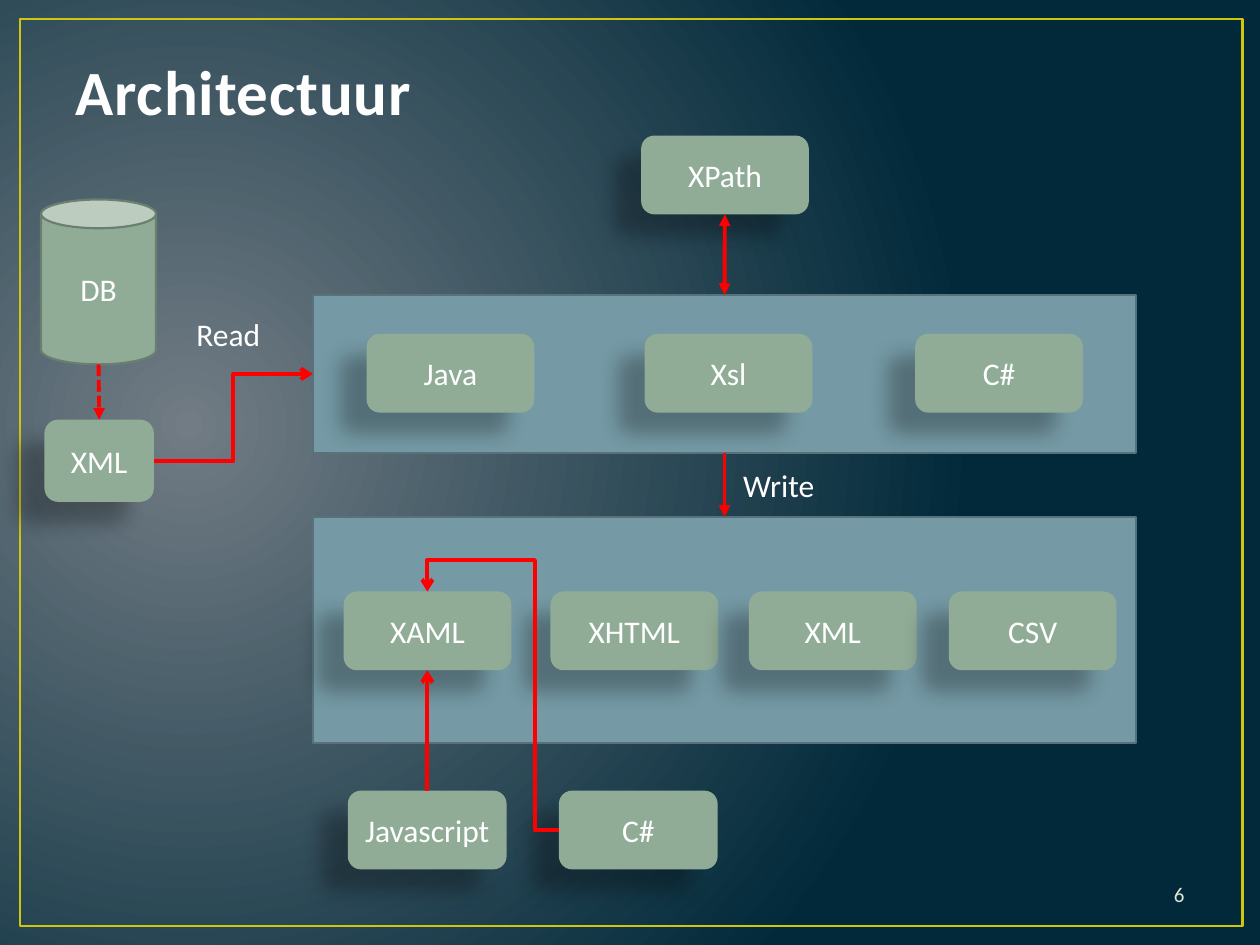
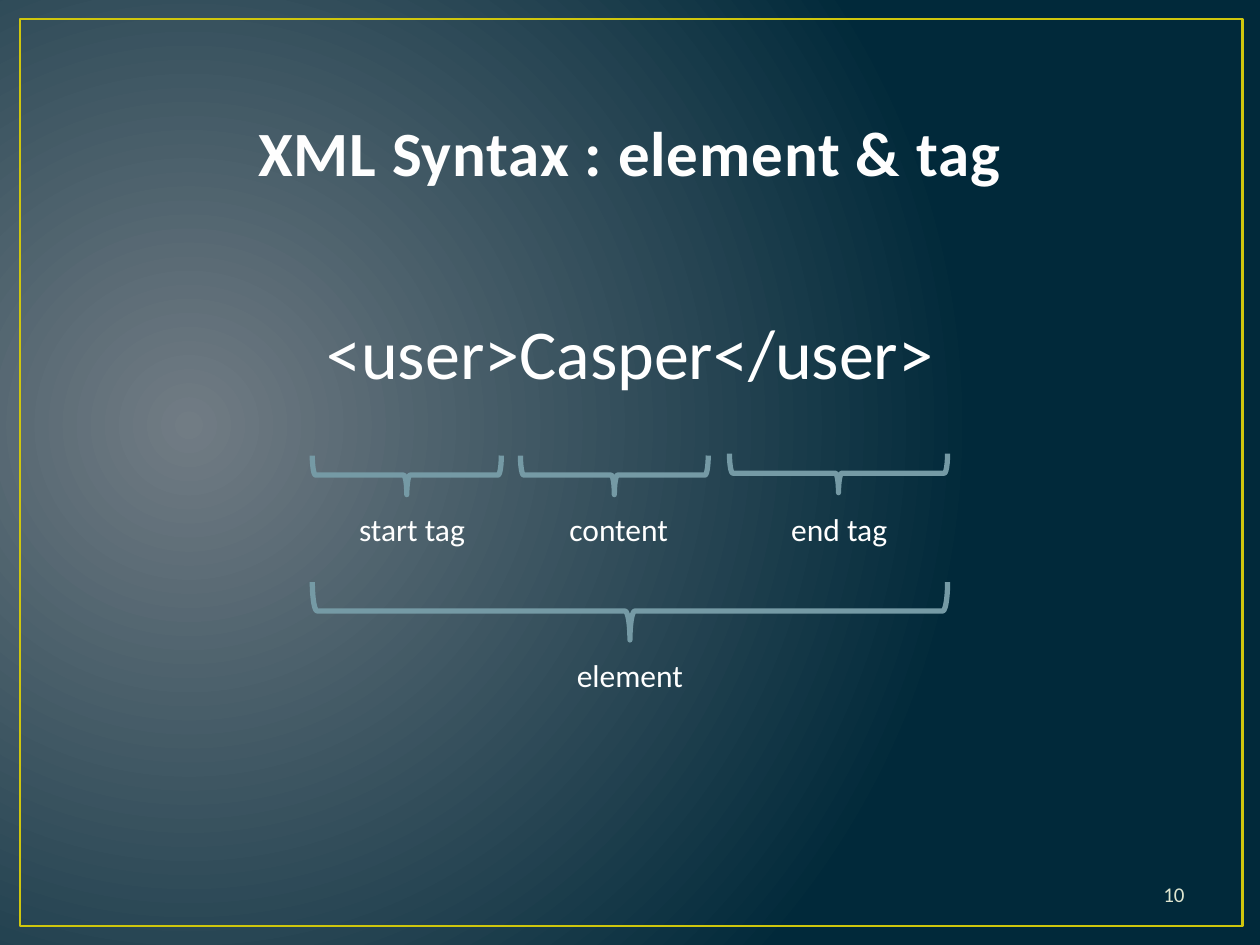
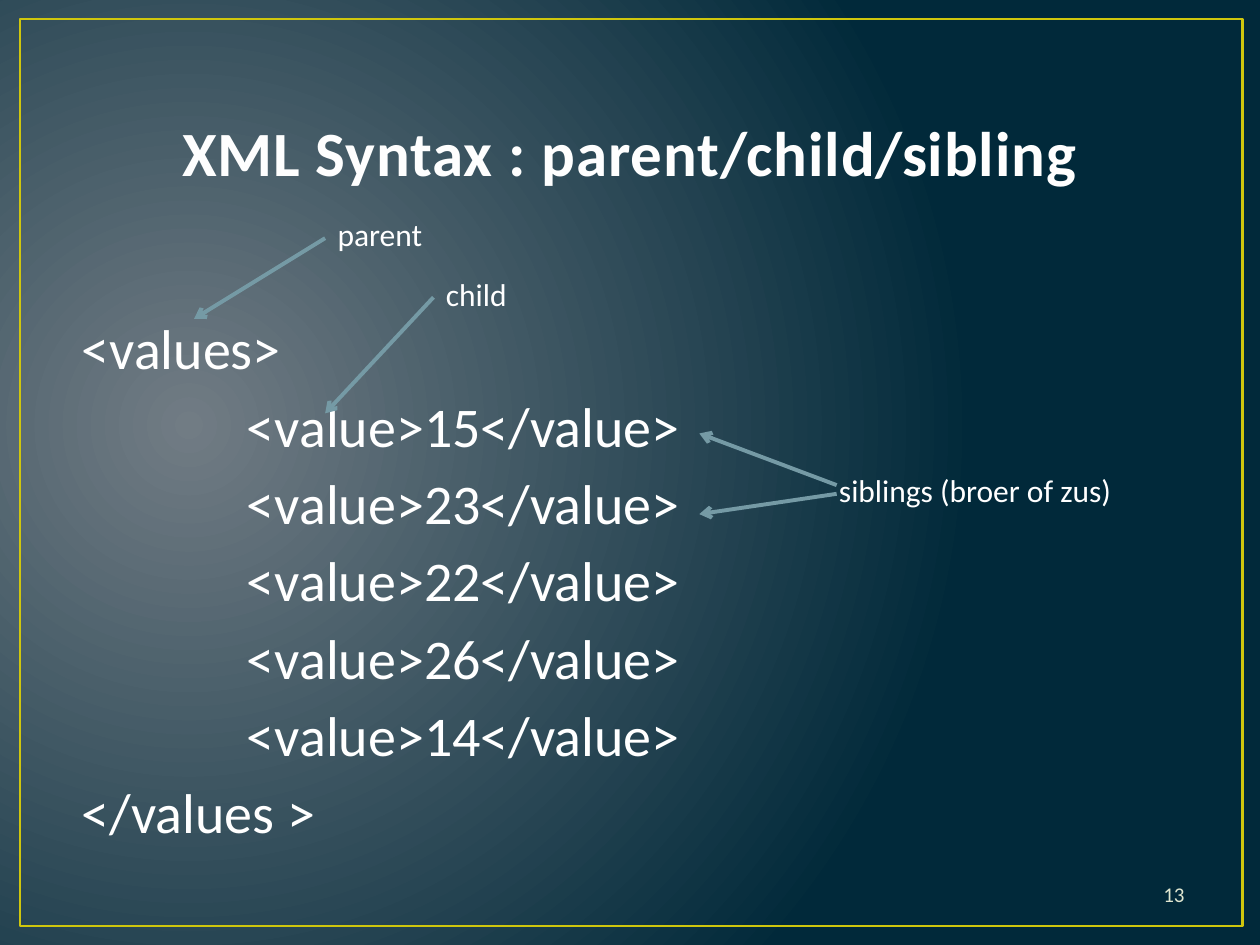
import dataclasses

import pptx
import pptx.dml.color
import pptx.enum.dml
import pptx.enum.shapes
import pptx.enum.text
import pptx.oxml
import pptx.oxml.ns
import pptx.util

Pt = pptx.util.Pt
RGB = pptx.dml.color.RGBColor.from_string
SHAPE = pptx.enum.shapes.MSO_SHAPE
CONNECTOR = pptx.enum.shapes.MSO_CONNECTOR
ALIGN = pptx.enum.text.PP_ALIGN
ANCHOR = pptx.enum.text.MSO_ANCHOR
qn = pptx.oxml.ns.qn
NAMESPACE = pptx.oxml.ns.nsdecls("a")


@dataclasses.dataclass(frozen=True)
class Theme:
    """Colours and type sizes of the whole presentation."""
    font: str = "Calibri"
    glow: str = "717C84"
    night: str = "01293A"
    frame: str = "CFC60D"
    title: str = "FEFEFE"
    title_outline: str = "384F55"
    text: str = "FFFFFF"
    number: str = "DFE6D0"
    box: str = "90AC97"
    can_line: str = "6B7F70"
    panel: str = "759AA5"
    panel_line: str = "57727A"
    flow: str = "FF0000"
    title_size: float = 36
    sample_size: float = 40
    code_size: float = 32
    label_size: float = 18
    number_size: float = 12


theme = Theme()


def write(shape, lines, size=theme.label_size, color=theme.text, align=ALIGN.LEFT, anchor=ANCHOR.TOP):
    """Write one single-run paragraph per line and return the paragraphs."""
    frame = shape.text_frame
    frame.word_wrap = True
    frame.auto_size = pptx.enum.text.MSO_AUTO_SIZE.NONE
    frame.vertical_anchor = anchor
    for index, line in enumerate(lines):
        paragraph = frame.add_paragraph() if index else frame.paragraphs[0]
        paragraph.alignment = align
        run = paragraph.add_run()
        run.text = line
        run.font.name = theme.font
        run.font.size = Pt(size)
        run.font.color.rgb = RGB(color)
    return frame.paragraphs


def connect(slide, start, end, color, tail, head=None, kind=CONNECTOR.STRAIGHT, dash=None):
    """Draw a flat connector with arrowheads and return it."""
    connector = slide.shapes.add_connector(kind, *map(Pt, start + end))
    connector.line.color.rgb = RGB(color)
    connector.line.width = Pt(2.25)
    if dash:
        connector.line.dash_style = dash
    line = connector.line._get_or_add_ln()
    for tag, arrow in (("headEnd", head), ("tailEnd", tail)):
        if arrow:
            line.append(pptx.oxml.parse_xml(f'<a:{tag} {NAMESPACE} type="{arrow}"/>'))
    connector.element.spPr.append(pptx.oxml.parse_xml(f"<a:effectLst {NAMESPACE}/>"))
    return connector


presentation = pptx.Presentation()
presentation.slide_width = Pt(720)
presentation.slide_height = Pt(540)

# Shared background
master = presentation.slide_master
background = master.background.fill
background.gradient()
for stop, color in zip(background.gradient_stops, (theme.glow, theme.night)):
    stop.color.rgb = RGB(color)
gradient = master.element.find(".//" + qn("a:gradFill"))
gradient.replace(gradient.find(qn("a:lin")), pptx.oxml.parse_xml(
    f'<a:path {NAMESPACE} path="circle">'
    '<a:fillToRect l="15000" t="50000" r="85000" b="60000"/></a:path>'))

# Slides with titles and page numbers
pages = [
    ("Architectuur", "6", 20.88, 56.16, ALIGN.LEFT),
    ("XML Syntax : element & tag", "10", 21.6, 90, ALIGN.CENTER),
    ("XML Syntax : parent/child/sibling", "13", 21.6, 90, ALIGN.CENTER),
]
slides = []
for heading, number, top, height, align in pages:
    slide = presentation.slides.add_slide(presentation.slide_layouts[5])
    title = slide.shapes.title
    title.left, title.top, title.width, title.height = map(Pt, (36, top, 648, height))
    run = write(title, [heading], theme.title_size, theme.title, align, ANCHOR.BOTTOM)[0].runs[0]
    run.font.bold = True
    properties = run.font._element
    properties.set("spc", "50")
    properties.insert(0, pptx.oxml.parse_xml(
        f'<a:ln {NAMESPACE} w="{Pt(1.05)}"><a:solidFill>'
        f'<a:srgbClr val="{theme.title_outline}"/></a:solidFill></a:ln>'))
    page_number = slide.shapes.add_textbox(*map(Pt, (516, 496.8, 168, 28.8)))
    write(page_number, [number], theme.number_size, theme.number, ALIGN.RIGHT, ANCHOR.MIDDLE)
    slides.append(slide)
architecture, element_slide, family = slides

# Shared frame, moved to the master behind its placeholders
frame = architecture.shapes.add_shape(SHAPE.RECTANGLE, *map(Pt, (11.5, 10.8, 698.4, 518.4)))
frame.shadow.inherit = False
frame.fill.background()
frame.line.color.rgb = RGB(theme.frame)
frame.line.width = Pt(1.5)
frame.element.nvSpPr.cNvPr.set("id", "99")
master.shapes.element.insert(2, frame.element)

# Architecture: panels and database
solids = [
    (SHAPE.RECTANGLE, (178.8, 295.4, 470.6, 129.2), theme.panel, theme.panel_line, None),
    (SHAPE.RECTANGLE, (178.8, 168.6, 470.6, 90.2), theme.panel, theme.panel_line, None),
    (SHAPE.CAN, (23.5, 114, 65.7, 94.2), theme.box, theme.can_line, "DB"),
]
for kind, place, fill, outline, label in solids:
    solid = architecture.shapes.add_shape(kind, *map(Pt, place))
    solid.shadow.inherit = False
    solid.fill.solid()
    solid.fill.fore_color.rgb = RGB(fill)
    solid.line.color.rgb = RGB(outline)
    solid.line.width = Pt(1.25)
    if label:
        write(solid, [label], align=ALIGN.CENTER, anchor=ANCHOR.MIDDLE)

# Architecture: boxes with a soft shadow to the lower left
boxes = [
    ("XPath", 366.4, 77.5, 95.8, 45),
    ("Java", 209.5, 190.8, 95.8, 45),
    ("Xsl", 368.4, 190.8, 95.8, 45),
    ("C#", 523, 190.8, 95.8, 45),
    ("XAML", 196.4, 338, 95.8, 45),
    ("XHTML", 314.6, 338, 95.8, 45),
    ("XML", 428, 338, 95.8, 45),
    ("CSV", 542.2, 338, 95.8, 45),
    ("Javascript", 198.8, 451.8, 90.7, 45),
    ("C#", 319.4, 451.8, 90.7, 45),
    ("XML", 25.4, 239.8, 62.6, 47),
]
for label, *place in boxes:
    kind = SHAPE.FLOWCHART_ALTERNATE_PROCESS if label == "XPath" else SHAPE.ROUNDED_RECTANGLE
    box = architecture.shapes.add_shape(kind, *map(Pt, place))
    box.fill.solid()
    box.fill.fore_color.rgb = RGB(theme.box)
    box.line.fill.background()
    box.element.spPr.append(pptx.oxml.parse_xml(
        f'<a:effectLst {NAMESPACE}><a:outerShdw blurRad="{Pt(11.8)}" dist="{Pt(19.7)}" '
        f'dir="{141 * 60000}" algn="ctr" rotWithShape="0"><a:srgbClr val="000000">'
        '<a:alpha val="28000"/></a:srgbClr></a:outerShdw></a:effectLst>'))
    write(box, [label], align=ALIGN.CENTER, anchor=ANCHOR.MIDDLE)

# Architecture: flow
connect(architecture, (414, 258.8), (414, 295.4), theme.flow, "triangle")
connect(architecture, (414.2, 122.5), (414, 168.6), theme.flow, "triangle", head="triangle")
connect(architecture, (56.3, 208.2), (56.7, 239.8), theme.flow, "triangle",
        dash=pptx.enum.dml.MSO_LINE.SQUARE_DOT)
connect(architecture, (88, 263.4), (178.8, 213.7), theme.flow, "arrow", kind=CONNECTOR.ELBOW)
connect(architecture, (244.2, 451.8), (244.2, 383), theme.flow, "arrow")
detour = connect(architecture, (244.2, 338), (319.4, 474.3), theme.flow, "arrow", kind=CONNECTOR.ELBOW)
detour.rotation = 180
geometry = detour.element.spPr.find(qn("a:prstGeom"))
geometry.set("prst", "bentConnector4")
for name, value in (("adj1", 18300), ("adj2", 113200)):
    geometry.find(qn("a:avLst")).append(
        pptx.oxml.parse_xml(f'<a:gd {NAMESPACE} name="{name}" fmla="val {value}"/>'))

# Element and tag: sample line and braces (left, top, span, depth)
sample = element_slide.shapes.add_textbox(*map(Pt, (36, 173.5, 648, 61.9)))
write(sample, ["<user>Casper</user>"], theme.sample_size, align=ALIGN.CENTER)[0].space_before = Pt(8)
braces = [
    (178.5, 260.3, 108, 22.3),
    (297.4, 260.3, 107.3, 22.3),
    (416.9, 259.2, 124.6, 22.3),
    (178.5, 332.6, 363, 33.1),
]
for left, top, span, depth in braces:
    brace = element_slide.shapes.add_shape(
        SHAPE.LEFT_BRACE, Pt(left + (span - depth) / 2), Pt(top - (span - depth) / 2), Pt(depth), Pt(span))
    brace.rotation = 270
    brace.shadow.inherit = False
    brace.fill.background()
    brace.line.color.rgb = RGB(theme.panel)
    brace.line.width = Pt(3)

# Parent, child, sibling: code lines
code = family.shapes.add_textbox(*map(Pt, (39.6, 175.7, 648, 321.1)))
values = [f"<value>{value}</value>" for value in (15, 23, 22, 26, 14)]
for paragraph in write(code, ["<values>", *values, "</values >"], theme.code_size):
    paragraph.space_before = Pt(5.8)
    if paragraph.text in values:
        paragraph._p.get_or_add_pPr().set("marL", str(Pt(94.4)))
pointers = [
    ((185.8, 136.1), (110.9, 182.2)),
    ((247.7, 169.9), (185.8, 236.2)),
    ((478.1, 277.2), (399.6, 247.7)),
    ((478.1, 282.2), (399.6, 293.8)),
]
for start, end in pointers:
    connect(family, start, end, theme.panel, "arrow")

# Labels on all slides
labels = [
    (architecture, "Read", 105.1, 176.4, 56.9, ALIGN.LEFT),
    (architecture, "Write", 417.6, 262.8, 61.9, ALIGN.LEFT),
    (element_slide, "start tag", 179.3, 288, 112.3, ALIGN.CENTER),
    (element_slide, "content", 297.4, 288, 112.3, ALIGN.CENTER),
    (element_slide, "end tag", 423.4, 288, 112.3, ALIGN.CENTER),
    (element_slide, "element", 303.8, 371.5, 112.3, ALIGN.CENTER),
    (family, "parent", 185.8, 119.5, 112.3, ALIGN.LEFT),
    (family, "child", 247.7, 153.4, 112.3, ALIGN.LEFT),
    (family, "siblings (broer of zus)", 472.3, 265.7, 219.6, ALIGN.LEFT),
]
for slide, label, left, top, width, align in labels:
    write(slide.shapes.add_textbox(Pt(left), Pt(top), Pt(width), Pt(28.8)), [label], align=align)

presentation.save("out.pptx")
